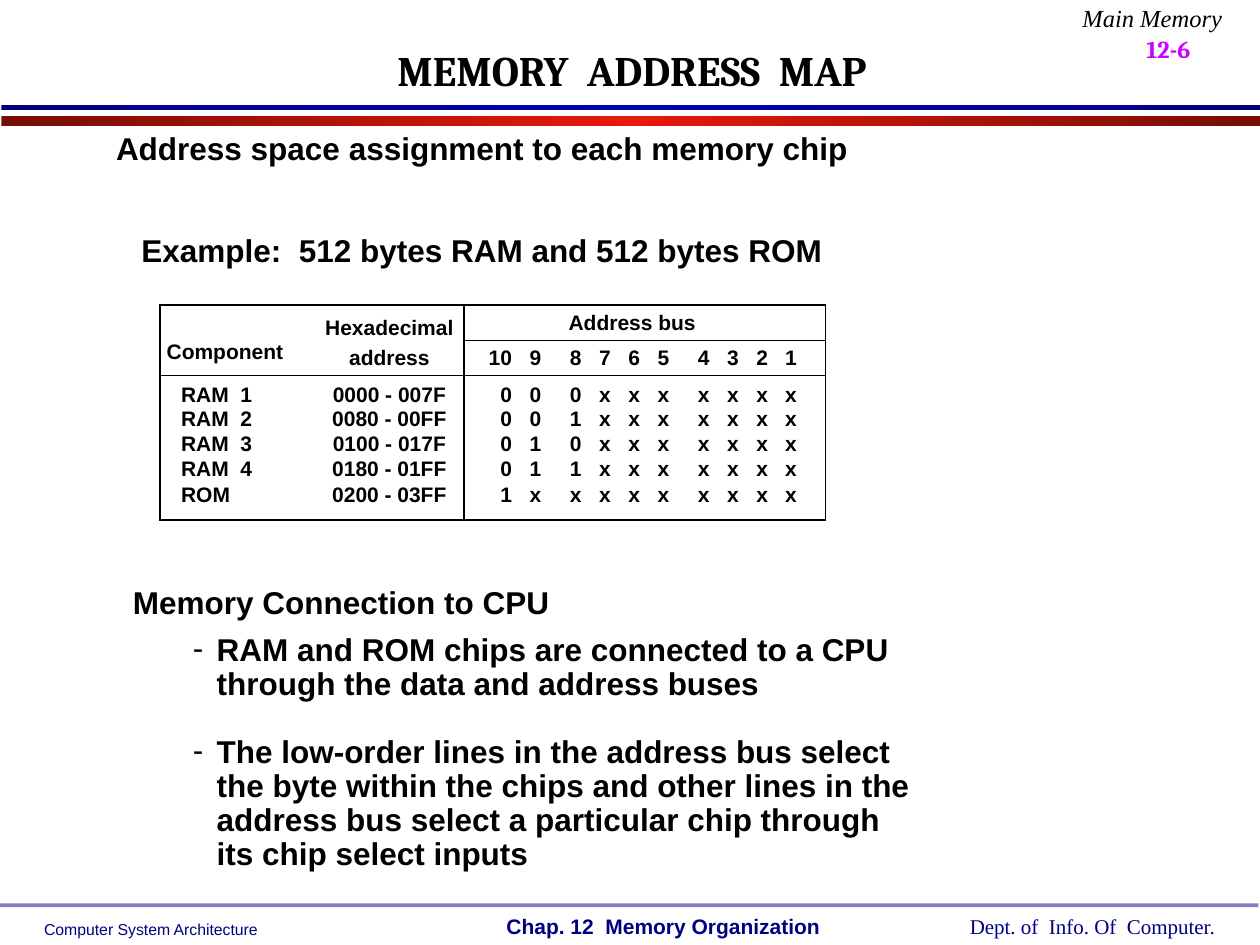
import copy

import lxml.etree
import pptx
import pptx.dml.color
import pptx.enum.shapes
import pptx.enum.text
import pptx.oxml.ns
import pptx.util

Cm, Pt = pptx.util.Cm, pptx.util.Pt
ALIGN = pptx.enum.text.PP_ALIGN
ANCHOR = pptx.enum.text.MSO_ANCHOR
qn = pptx.oxml.ns.qn

BLACK, NAVY = "000000", "000082"
NO_GRID_STYLE = "{2D5ABB26-0587-4C30-8999-92F81FD0307C}"

MEMORY_MAP = [
    ("RAM  1", "0000 - 007F", "000xxxxxxx"),
    ("RAM  2", "0080 - 00FF", "001xxxxxxx"),
    ("RAM  3", "0100 - 017F", "010xxxxxxx"),
    ("RAM  4", "0180 - 01FF", "011xxxxxxx"),
    ("ROM", "0200 - 03FF", "1xxxxxxxxx"),
]
# One column per bus line, with wider gaps before lines 8 and 4
BIT_WIDTHS = [0.97, 0.59, 0.81, 0.59, 0.59, 0.59, 0.81, 0.59, 0.59, 1.16]
COLUMN_WIDTHS = [3.12, 3.0] + BIT_WIDTHS
ROW_HEIGHTS = [0.71, 0.71, 0.64, 0.51, 0.51, 0.51, 0.74]
LAST_COLUMN, LAST_ROW = len(COLUMN_WIDTHS) - 1, len(ROW_HEIGHTS) - 1


def rgb(color):
    return pptx.dml.color.RGBColor.from_string(color)


def format_paragraph(paragraph, size, face="Arial", color=BLACK, bold=True,
                     italic=False, align=ALIGN.LEFT):
    paragraph.alignment = align
    font = paragraph.font
    font.size, font.name = Pt(size), face
    font.bold, font.italic = bold, italic
    font.color.rgb = rgb(color)


def add_text(slide, box, lines, size, wrap=False, inset=(0.25, 0.13),
             spacing=None, gap=0, dash=False, **style):
    frame = slide.shapes.add_textbox(*map(Cm, box)).text_frame
    frame.word_wrap = wrap
    frame.margin_left = frame.margin_right = Cm(inset[0])
    frame.margin_top = frame.margin_bottom = Cm(inset[1])
    frame.text = "\n".join(lines)
    for index, paragraph in enumerate(frame.paragraphs):
        if spacing:
            paragraph.line_spacing = spacing
        if index:
            paragraph.space_before = Pt(gap)
        if dash:
            add_dash(paragraph)
        format_paragraph(paragraph, size, **style)
    return frame


def add_dash(paragraph):
    properties = paragraph._p.get_or_add_pPr()
    properties.set("marL", str(Cm(0.48)))
    properties.set("indent", str(-Cm(0.48)))
    lxml.etree.SubElement(properties, qn("a:buFont")).set("typeface", "Arial")
    lxml.etree.SubElement(properties, qn("a:buChar")).set("char", "-")


def add_bar(slide, box):
    bar = slide.shapes.add_shape(pptx.enum.shapes.MSO_SHAPE.RECTANGLE, *map(Cm, box))
    bar.shadow.inherit = False
    bar.line.fill.background()
    return bar


def add_gradient_bar(slide, box, edge, middle):
    fill = add_bar(slide, box).fill
    fill.gradient()
    fill.gradient_angle = 0
    first = fill.gradient_stops[0]._gs
    first.addnext(copy.deepcopy(first))
    for stop, position, color in zip(fill.gradient_stops, (0, 0.5, 1), (edge, middle, edge)):
        stop.position = position
        stop.color.rgb = rgb(color)


def set_border(cell, side, ruled):
    line = lxml.etree.SubElement(cell._tc.get_or_add_tcPr(), qn("a:ln" + side))
    line.set("w", str(Pt(1)))
    if ruled:
        fill = lxml.etree.SubElement(line, qn("a:solidFill"))
        lxml.etree.SubElement(fill, qn("a:srgbClr")).set("val", BLACK)
    else:
        lxml.etree.SubElement(line, qn("a:noFill"))


def fill_cell(cell, text="", align=ALIGN.RIGHT, anchor=ANCHOR.MIDDLE, left=0, right=0):
    cell.text = text
    cell.margin_left, cell.margin_right = Cm(left), Cm(right)
    cell.margin_top = cell.margin_bottom = 0
    cell.vertical_anchor = anchor
    format_paragraph(cell.text_frame.paragraphs[0], 12, align=align)


def rule_cells(table):
    # Both cells at an edge agree on whether it is ruled
    for row in range(LAST_ROW + 1):
        for column in range(LAST_COLUMN + 1):
            bus = column >= 2
            bus_heading = bus and row == 0
            cell = table.cell(row, column)
            set_border(cell, "L", column in (0, 2))
            set_border(cell, "R", column in (1, LAST_COLUMN) or bus_heading and column == 2)
            set_border(cell, "T", row in (0, 2) or bus and row == 1)
            set_border(cell, "B", row in (1, LAST_ROW) or bus_heading)
            cell.fill.background()


def add_memory_map(slide):
    table = slide.shapes.add_table(
        len(ROW_HEIGHTS), len(COLUMN_WIDTHS), Cm(3.23), Cm(6.15),
        Cm(sum(COLUMN_WIDTHS)), Cm(sum(ROW_HEIGHTS))).table
    table.first_row = table.horz_banding = False
    table._tbl.tblPr.find(qn("a:tableStyleId")).text = NO_GRID_STYLE
    for column, width in zip(table.columns, COLUMN_WIDTHS):
        column.width = Cm(width)
    for row, height in zip(table.rows, ROW_HEIGHTS):
        row.height = Cm(height)
    for cell in table.iter_cells():
        fill_cell(cell)
    rule_cells(table)

    # Headings
    table.cell(0, 2).merge(table.cell(0, LAST_COLUMN))
    fill_cell(table.cell(1, 0), "Component", ALIGN.LEFT, ANCHOR.TOP, left=0.13)
    fill_cell(table.cell(0, 1), "Hexadecimal", ALIGN.CENTER, ANCHOR.BOTTOM)
    fill_cell(table.cell(1, 1), "address", ALIGN.CENTER)
    fill_cell(table.cell(0, 2), "Address bus", ALIGN.CENTER, right=0.5)

    # Bus line numbers, then one row per chip
    bit_rows = [range(10, 0, -1)] + [bits for _, _, bits in MEMORY_MAP]
    for row, bits in enumerate(bit_rows, start=1):
        anchor = {1: ANCHOR.MIDDLE, 2: ANCHOR.BOTTOM}.get(row, ANCHOR.TOP)
        for column, bit in enumerate(bits, start=2):
            right = 0.58 if column == LAST_COLUMN else 0
            fill_cell(table.cell(row, column), str(bit), anchor=anchor, right=right)
        if row > 1:
            chip, addresses, _ = MEMORY_MAP[row - 2]
            fill_cell(table.cell(row, 0), chip, ALIGN.LEFT, anchor, left=0.42)
            fill_cell(table.cell(row, 1), addresses, ALIGN.CENTER, anchor)


def add_title(slide, text):
    title = slide.shapes.title
    title.left, title.top, title.width, title.height = map(Cm, (2.2, 0.74, 21.08, 1.32))
    title.text_frame.text = text
    title.text_frame.vertical_anchor = ANCHOR.MIDDLE
    format_paragraph(title.text_frame.paragraphs[0], 24, "Cambria", align=ALIGN.CENTER)


def add_page_frame(slide):
    # Header bars and page number
    add_gradient_bar(slide, (0.03, 2.34, 25.37, 0.2), "770D05", "E71909")
    add_gradient_bar(slide, (0.03, 2.11, 25.37, 0.1), "00007F", "0000B6")
    number = add_text(slide, (22.86, 0, 2.54, 1.42), ["12-6"], 24, wrap=True,
                      face="Cambria", color="CC00FF")
    number.paragraphs[0].font._element.set("baseline", "-25000")
    add_text(slide, (21.56, 0, 3.33, 0.79), ["Main Memory"], 14, spacing=0.9,
             face="Times New Roman", bold=False, italic=True, align=ALIGN.RIGHT)

    # Footer
    rule = add_bar(slide, (0, 18.21, 25.37, 0.08))
    rule.fill.solid()
    rule.fill.fore_color.rgb = rgb(NAVY)
    tint = rule._element.spPr.find(".//" + qn("a:srgbClr"))
    lxml.etree.SubElement(tint, qn("a:alpha")).set("val", "50000")
    add_text(slide, (0.64, 18.42, 4.83, 0.64), ["Computer System Architecture"], 9,
             color=NAVY, bold=False)
    add_text(slide, (9.96, 18.29, 6.83, 0.76), ["Chap. 12  Memory Organization"], 12,
             color=NAVY)
    add_text(slide, (19.3, 18.29, 5.49, 0.76), ["Dept. of  Info. Of  Computer."], 12,
             face="Times New Roman", color=NAVY, bold=False)


def main():
    presentation = pptx.Presentation()
    presentation.slide_width, presentation.slide_height = Cm(25.4), Cm(19.05)
    slide = presentation.slides.add_slide(presentation.slide_layouts[5])
    add_page_frame(slide)
    add_title(slide, "MEMORY  ADDRESS  MAP")

    # Address assignment
    add_text(slide, (2.08, 2.55, 15.27, 3),
             ["Address space assignment to each memory chip",
              "Example:  512 bytes RAM and 512 bytes ROM"],
             18, spacing=0.9, gap=38.8, align=ALIGN.CENTER)
    add_memory_map(slide)

    # Connection to the CPU
    add_text(slide, (2.26, 11.8, 9.24, 0.79), ["Memory Connection to CPU"], 18,
             inset=(0.18, 0.08), spacing=0.85, align=ALIGN.CENTER)
    add_text(slide, (3.71, 12.7, 14.99, 4.95),
             ["RAM and ROM chips are connected to a CPU through the data and address buses",
              "The low-order lines in the address bus select the byte within the chips and "
              "other lines in the address bus select a particular chip through its chip "
              "select inputs"],
             18, wrap=True, inset=(0.18, 0.08), spacing=0.9, gap=19.4, dash=True)
    presentation.save("out.pptx")


if __name__ == "__main__":
    main()
